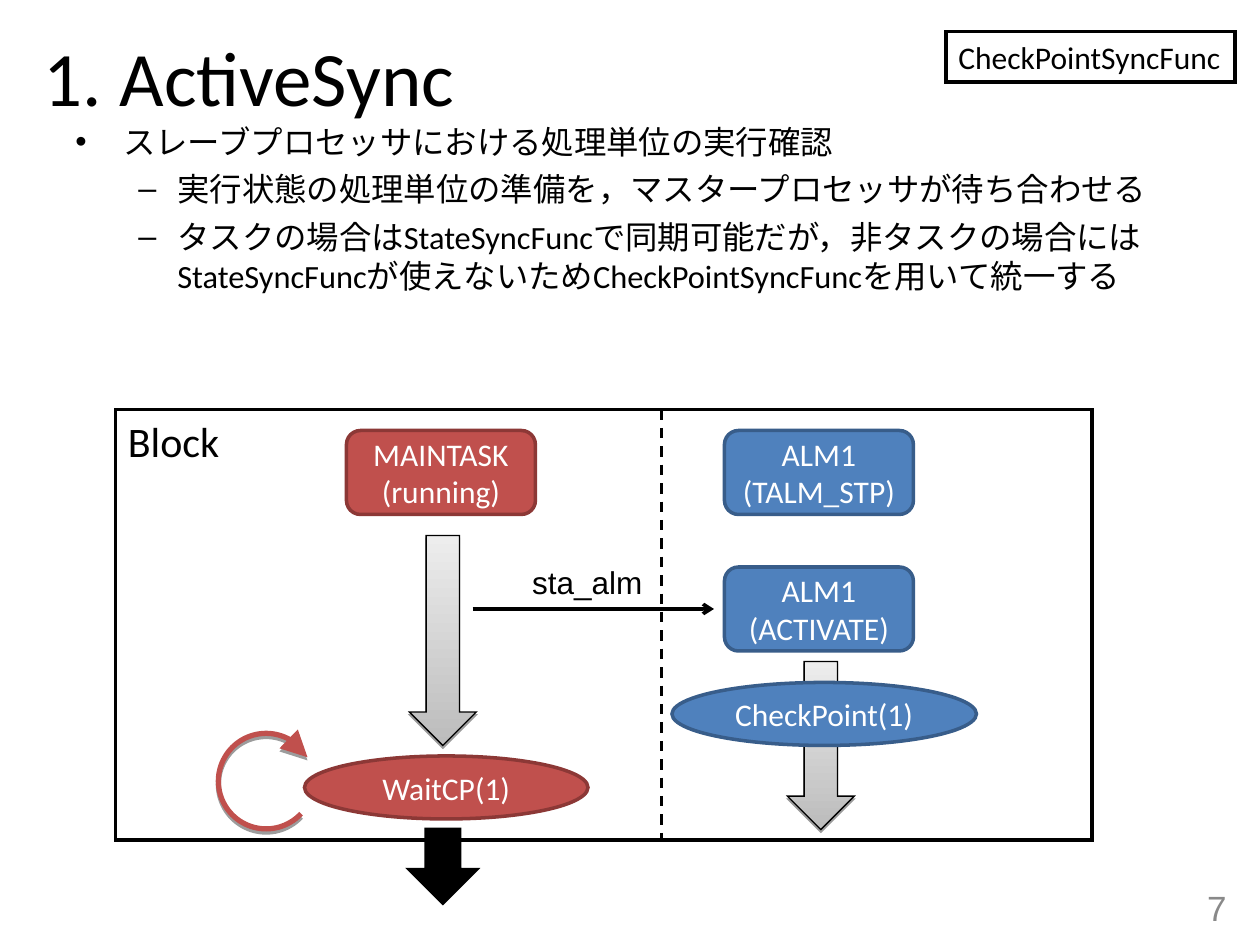
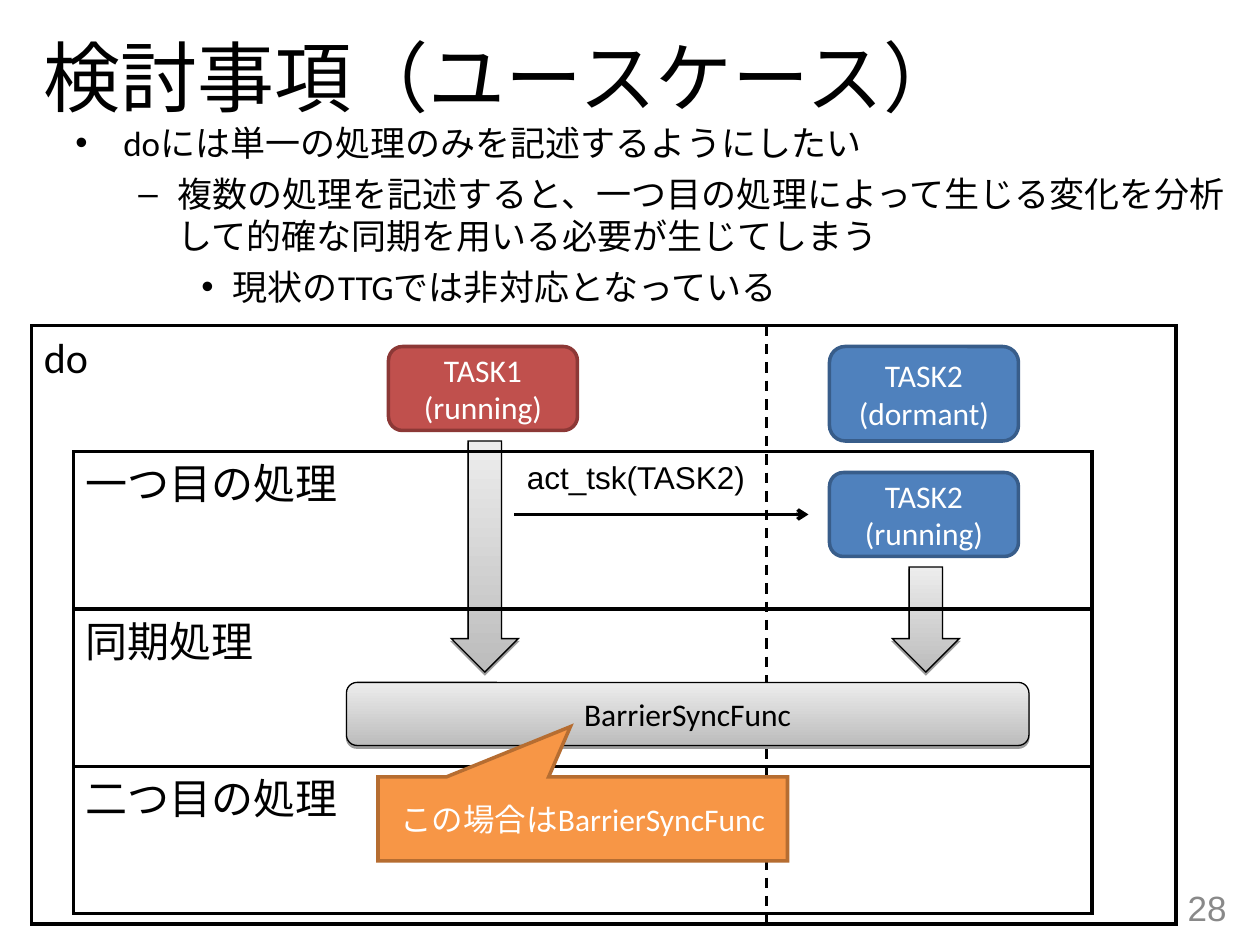
from dataclasses import dataclass
from typing import Any, Optional

from lxml import etree
from pptx import Presentation
from pptx.dml.color import RGBColor
from pptx.enum.dml import MSO_LINE
from pptx.enum.lang import MSO_LANGUAGE_ID
from pptx.enum.shapes import MSO_CONNECTOR, MSO_SHAPE
from pptx.enum.text import MSO_ANCHOR, MSO_AUTO_SIZE, PP_ALIGN
from pptx.oxml.ns import qn
from pptx.util import Emu, Inches, Pt

RECT, ROUND, OVAL = MSO_SHAPE.RECTANGLE, MSO_SHAPE.ROUNDED_RECTANGLE, MSO_SHAPE.OVAL
DOWN, CALL, ARC = MSO_SHAPE.DOWN_ARROW, MSO_SHAPE.RECTANGULAR_CALLOUT, MSO_SHAPE.ARC
LEFT, MID, RIGHT = PP_ALIGN.LEFT, PP_ALIGN.CENTER, PP_ALIGN.RIGHT
TOP, CENTER = MSO_ANCHOR.TOP, MSO_ANCHOR.MIDDLE
FIXED, GROW = MSO_AUTO_SIZE.NONE, MSO_AUTO_SIZE.SHAPE_TO_FIT_TEXT
DASH, STRAIGHT = MSO_LINE.DASH, MSO_CONNECTOR.STRAIGHT
JA = MSO_LANGUAGE_ID.JAPANESE

# Grid: 120 columns by 90 rows, twelve to the inch
COLS, ROWS = 120, 90
CELL = Inches(1) // 12
BLACK, WHITE, GRAY = "000000", "FFFFFF", "898989"
SHAFT = 6.36  # width of every block arrow, in columns
LABEL = 4.8  # height of a one-line label, in rows


@dataclass(frozen=True)
class Style:
    fill: Optional[str] = None
    line: Optional[str] = None
    width: float = 2
    ink: str = BLACK
    size: float = 18
    font: str = "Calibri"
    align: Any = LEFT
    anchor: Any = TOP
    wrap: bool = True
    shade: float = 0  # shadow offset in points


@dataclass(frozen=True)
class Box:
    x: float
    y: float
    w: float
    h: float
    style: Style
    kind: Any = None  # None makes a text box
    text: str = ""
    adj: tuple[float, ...] = ()


@dataclass(frozen=True)
class Line:
    x: float
    y: float
    x2: float
    y2: float
    dash: bool = False


@dataclass(frozen=True)
class Item:
    level: int
    text: str


def node(fill: str, line: str) -> Style:
    return Style(fill, line, ink=WHITE, align=MID, anchor=CENTER)


# Shared looks
TITLE = Style(size=44, anchor=CENTER)
PAGE = Style(size=20, font="Arial", ink=GRAY, align=RIGHT, anchor=CENTER)
NOTE = Style(font="Arial", wrap=False)
TAG = Style(WHITE, BLACK, wrap=False)
FRAME = Style(WHITE, BLACK, size=24)
STEP = Style(None, BLACK, size=24)
RED = node("C0504D", "8C3836")
BLUE = node("4F81BD", "385D8A")
ORANGE = node("F79646", "B66D31")
SOLID = Style(BLACK, BLACK)
METAL = Style("metal", BLACK, 0.75, align=MID, anchor=CENTER, shade=1.6)
LOOP = Style(None, "C0504D", 3, shade=1.8)

# Bullets by level: left margin, hanging indent, mark
MARKS = [(0.38, 0.38, "•"), (0.81, 0.31, "–"), (1.25, 0.25, "•")]
GAP = 5  # points between list items


def rgb(code: str) -> RGBColor:
    return RGBColor.from_string(code)


def put(obj: Any, vals: dict[str, Any]) -> None:
    for key, val in vals.items():
        setattr(obj, key, val)


def sub(base: Any, tag: str, **attrs: Any) -> Any:
    return etree.SubElement(base, qn(tag), {k: str(v) for k, v in attrs.items()})


def ink(para: Any, style: Style) -> None:
    for run in para.runs:
        put(run.font, {"name": style.font, "size": Pt(style.size), "language_id": JA})
        run.font.color.rgb = rgb(style.ink)


def stroke(line: Any, color: str, width: float) -> None:
    line.color.rgb = rgb(color)
    line.width = Pt(width)


def head(line: Any, kind: str, size: str = "med") -> None:
    sub(line._get_or_add_ln(), "a:tailEnd", type=kind, w=size, len=size)


def paint(shape: Any, style: Style) -> None:
    fill = shape.fill
    if style.fill == "metal":
        fill.gradient()
        fill.gradient_angle = 90
        for stop, tone, pos in zip(fill.gradient_stops, ("BCBCBC", "EDEDED"), (0, 1)):
            stop.color.rgb = rgb(tone)
            stop.position = pos
    elif style.fill:
        fill.solid()
        fill.fore_color.rgb = rgb(style.fill)
    else:
        fill.background()
    if style.line:
        stroke(shape.line, style.line, style.width)
        sub(shape.line._get_or_add_ln(), "a:miter", lim=800000)


def cast(shape: Any, drop: float) -> None:
    shape.shadow.inherit = False
    if drop:
        list_ = shape._element.spPr.find(qn("a:effectLst"))
        outer = sub(list_, "a:outerShdw", blurRad=0, dist=Pt(drop), dir=5400000,
                    algn="ctr", rotWithShape=0)
        sub(sub(outer, "a:srgbClr", val=BLACK), "a:alpha", val=38000)


def span(*cells: float) -> list[Emu]:
    return [Emu(round(c * CELL)) for c in cells]


def draw_box(slide: Any, box: Box) -> Any:
    area = span(box.x, box.y, box.w, box.h)
    style = box.style
    if box.kind is None:
        shape = slide.shapes.add_textbox(*area)
    else:
        shape = slide.shapes.add_shape(box.kind, *area)
        for i, val in enumerate(box.adj):
            shape.adjustments[i] = val
        paint(shape, style)
        cast(shape, style.shade)
    frame = shape.text_frame
    put(frame, {"word_wrap": style.wrap, "vertical_anchor": style.anchor,
                "auto_size": FIXED if style.wrap else GROW})
    if box.text:
        frame.text = box.text
        for para in frame.paragraphs:
            para.alignment = style.align
            ink(para, style)
    return shape


def draw_line(slide: Any, line: Line) -> None:
    link = slide.shapes.add_connector(STRAIGHT, *span(line.x, line.y, line.x2, line.y2))
    stroke(link.line, BLACK, 1.5 if line.dash else 2)
    if line.dash:
        link.line.dash_style = DASH
    else:
        head(link.line, "arrow")
    sub(link._element.spPr, "a:effectLst")


def draw_list(slide: Any, box: Box, items: list[Item]) -> None:
    frame = draw_box(slide, box).text_frame
    for i, item in enumerate(items):
        para = frame.add_paragraph() if i else frame.paragraphs[0]
        put(para, {"text": item.text, "level": item.level})
        if i:
            para.space_before = Pt(GAP)
        left, hang, mark = MARKS[item.level]
        props = para._p.get_or_add_pPr()
        props.set("marL", str(Inches(left)))
        props.set("indent", str(-Inches(hang)))
        sub(sub(props, "a:buClr"), "a:srgbClr", val=BLACK)
        sub(props, "a:buFont", typeface="Arial")
        sub(props, "a:buChar", char=mark)
        ink(para, box.style)


def draw_all(slide: Any, parts: list[Any]) -> None:
    for part in parts:
        if isinstance(part, Line):
            draw_line(slide, part)
        else:
            draw_box(slide, part)


def state(x: float, y: float, style: Style, text: str, h: float = 8) -> Box:
    return Box(x, y, 18, h, style, ROUND, text)


def flow(x: float, y: float, h: float, style: Style = METAL) -> Box:
    return Box(x, y, SHAFT, h, style, DOWN)


def start(deck: Any, title: str, page: int) -> Any:
    slide = deck.slides.add_slide(deck.slide_layouts[6])
    draw_all(slide, [
        Box(3, 2, 108, 10.4, TITLE, text=title),
        Box(90, 84, 28, LABEL, PAGE, text=str(page)),
    ])
    return slide


def sync_slide(deck: Any) -> None:
    slide = start(deck, "1. ActiveSync", 7)
    draw_all(slide, [
        Box(90.1, 3, 27.5, LABEL, TAG, RECT, "CheckPointSyncFunc"),
        Box(11, 39, 93, 41, FRAME, RECT, "Block"),
        # Master side and slave side
        state(33, 41, RED, "MAINTASK\n(running)"),
        state(69, 41, BLUE, "ALM1\n(TALM_STP)"),
        flow(39, 51, 20),
        flow(75, 63, 16),
        Box(64, 65, 29, 6, BLUE, OVAL, "CheckPoint(1)"),
        Line(45, 58, 68, 58),
        state(69, 54, BLUE, "ALM1\n(ACTIVATE)"),
        Box(49.5, 53, 13.2, LABEL, NOTE, text="sta_alm"),
        flow(39, 79, 7, SOLID),
        Box(29, 72, 27, 6, RED, OVAL, "WaitCP(1)"),
        Line(63, 39, 63, 80, dash=True),
    ])
    # Waiting loop: arc angles of 43 and 330 degrees
    loop = draw_box(slide, Box(20.8, 69.85, 9.1, 9.1, LOOP, ARC, adj=(43 * 0.6, 330 * 0.6)))
    head(loop.line, "triangle", "lg")
    draw_list(slide, Box(6, 11, 108, 24, Style(size=18.5)), [
        Item(0, "スレーブプロセッサにおける処理単位の実行確認"),
        Item(1, "実行状態の処理単位の準備を，マスタープロセッサが待ち合わせる"),
        Item(1, "タスクの場合はStateSyncFuncで同期可能だが，非タスクの場合には"
                "StateSyncFuncが使えないためCheckPointSyncFuncを用いて統一する"),
    ])


def case_slide(deck: Any) -> None:
    slide = start(deck, "検討事項（ユースケース）", 28)
    draw_all(slide, [
        Box(3, 31, 109, 57, FRAME, RECT, "do"),
        # Tasks and their flow
        state(37, 33, RED, "TASK1\n(running)"),
        flow(43, 42, 22),
        Line(49, 49, 77, 49),
        state(79, 45, BLUE, "TASK2\n(running)"),
        state(79, 33, BLUE, "TASK2\n(dormant)", 9),
        Box(49, 43, 23.6, LABEL, NOTE, text="act_tsk(TASK2)"),
        flow(85, 54, 10),
        Line(73, 31, 73, 88, dash=True),
        Box(33, 65, 65, 6, METAL, ROUND, "BarrierSyncFunc"),
    ])
    # Stacked steps
    for i, name in enumerate(("一つ目の処理", "同期処理", "二つ目の処理")):
        y = 43 + 15 * i
        draw_box(slide, Box(7, y, 97, min(15, 87 - y), STEP, RECT, name))
    draw_box(slide, Box(36, 74, 39, 8, ORANGE, CALL, "この場合はBarrierSyncFunc",
                        (-0.03, -1.1)))
    draw_list(slide, Box(6, 11, 112, 19, Style(size=20)), [
        Item(0, "doには単一の処理のみを記述するようにしたい"),
        Item(1, "複数の処理を記述すると、一つ目の処理によって生じる変化を分析"
                "して的確な同期を用いる必要が生じてしまう"),
        Item(2, "現状のTTGでは非対応となっている"),
    ])


def main() -> None:
    deck = Presentation()
    put(deck, {"slide_width": COLS * CELL, "slide_height": ROWS * CELL})
    sync_slide(deck)
    case_slide(deck)
    deck.save("out.pptx")


if __name__ == "__main__":
    main()
